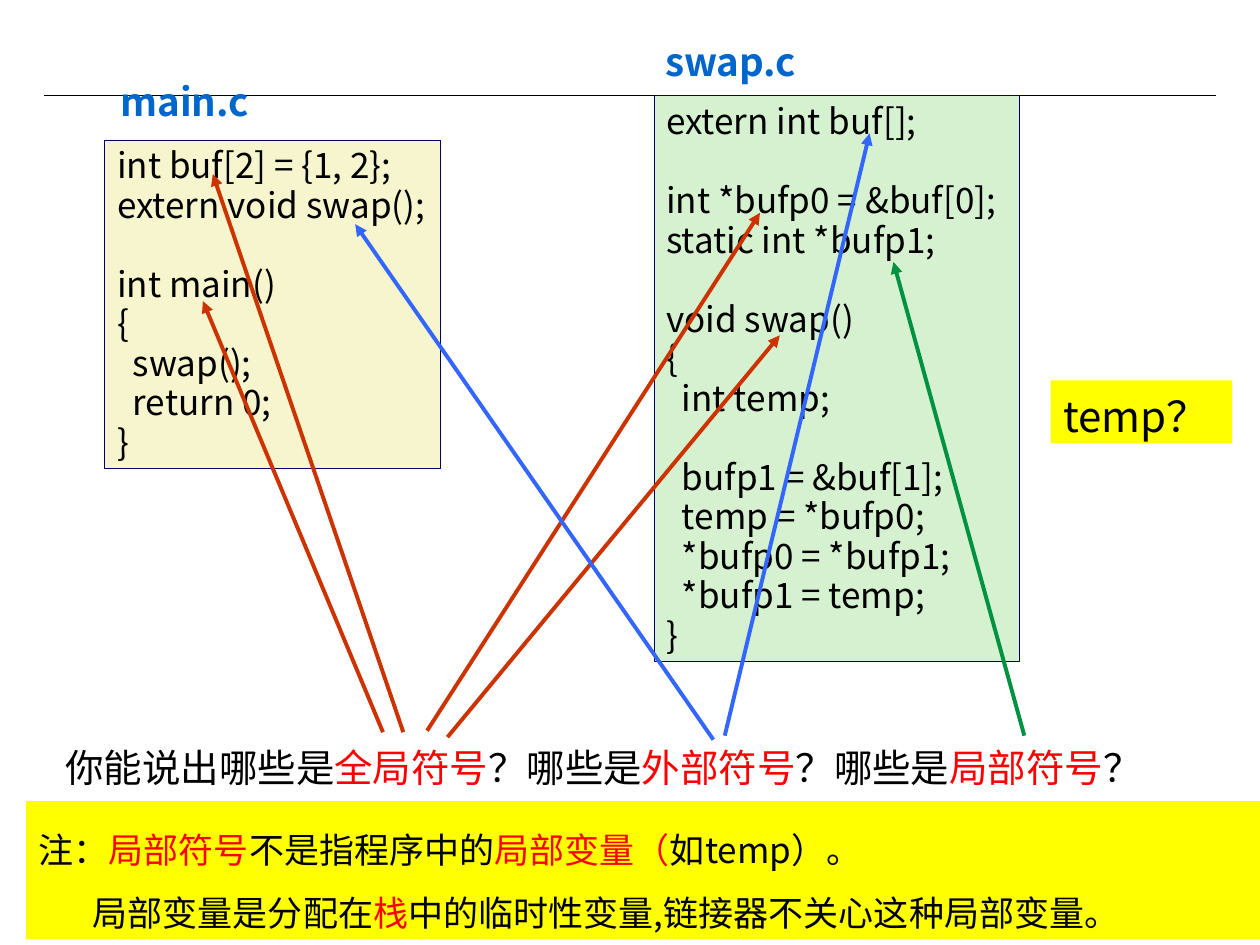
import pptx
import pptx.util
import pptx.dml.color
import pptx.enum.shapes
import pptx.enum.text
import pptx.oxml.ns
import lxml.etree

Cm, Pt = pptx.util.Cm, pptx.util.Pt
SANS = "Noto Sans CJK SC"
BLACK, RED, YELLOW, NAVY = "000000", "FF0000", "FFFF00", "000066"
GLOBAL, EXTERNAL, LOCAL = "CC3300", "3366FF", "009242"

MAIN_C = """int buf[2] = {1, 2};
extern void swap();

int main()
{
  swap();
  return 0;
}"""

SWAP_C = """extern int buf[];

int *bufp0 = &buf[0];
static int *bufp1;

void swap()
{
  int temp;

  bufp1 = &buf[1];
  temp = *bufp0;
  *bufp0 = *bufp1;
  *bufp1 = temp;
}"""

# Arrows: colour, start x, start y, end x, end y in cm
ARROWS = [
    (GLOBAL, 8.13, 14.76, 4.29, 3.51),
    (GLOBAL, 7.72, 14.76, 4.09, 6.07),
    (GLOBAL, 8.61, 14.73, 15.32, 4.29),
    (GLOBAL, 9.02, 14.86, 15.72, 6.76),
    (EXTERNAL, 14.38, 14.91, 7.16, 4.52),
    (EXTERNAL, 14.61, 14.83, 17.53, 2.69),
    (LOCAL, 20.65, 14.83, 18.01, 5.28),
]


def rgb(color):
    return pptx.dml.color.RGBColor.from_string(color)


def sub(parent, tag, **attrs):
    return lxml.etree.SubElement(parent, pptx.oxml.ns.qn(tag), **attrs)


def add_box(s, x, y, w, h, fill=None, line=None):
    """Add a rectangle, or a plain text box when there is no fill."""
    at = Cm(x), Cm(y), Cm(w), Cm(h)
    if fill:
        sp = s.shapes.add_shape(pptx.enum.shapes.MSO_SHAPE.RECTANGLE, *at)
        sp.shadow.inherit = False
        sp.fill.solid()
        sp.fill.fore_color.rgb = rgb(fill)
        if line:
            sp.line.color.rgb = rgb(line)
            sp.line.width = Pt(0.25)
        else:
            sp.line.fill.background()
    else:
        sp = s.shapes.add_textbox(*at)
    tf = sp.text_frame
    tf.word_wrap = True
    tf.margin_right = 0
    tf.vertical_anchor = pptx.enum.text.MSO_ANCHOR.TOP
    return tf


def add_runs(p, runs, size, spacing, font=SANS, bold=False):
    """Fill a paragraph with (text, colour) runs."""
    p.alignment = pptx.enum.text.PP_ALIGN.LEFT
    p.line_spacing = Pt(round(1.2 * size * spacing, 1))
    for text, color in runs:
        r = p.add_run()
        r.text = text
        r.font.size = Pt(size)
        r.font.name = font
        r.font.bold = bold
        r.font.color.rgb = rgb(color)
        sub(r.font._element, "a:ea", typeface=SANS)


def add_code(s, code, fill, x, y, w, h):
    """Add a code listing; a blank line becomes space before the next line."""
    tf = add_box(s, x, y, w, h, fill, NAVY)
    p, gap = tf.paragraphs[0], False
    for i, text in enumerate(code.split("\n")):
        if not text:
            gap = True
            continue
        if i:
            p = tf.add_paragraph()
        add_runs(p, [(text, BLACK)], 20, 0.94)
        if gap:
            p.space_before = p.line_spacing
        gap = False


def add_file_name(s, name, x, y, w):
    tf = add_box(s, x, y, w, 1.14)
    add_runs(tf.paragraphs[0], [(name, "0066CC")], 22, 0.94, bold=True)


def add_line(s, color, width, x1, y1, x2, y2, arrow=False):
    c = s.shapes.add_connector(pptx.enum.shapes.MSO_CONNECTOR.STRAIGHT,
                               Cm(x1), Cm(y1), Cm(x2), Cm(y2))
    c.line.color.rgb = rgb(color)
    c.line.width = Pt(width)
    if arrow:
        sub(c.line._get_or_add_ln(), "a:tailEnd", type="triangle")
    sub(c._element.spPr, "a:effectLst")


def main():
    prs = pptx.Presentation()
    prs.slide_width, prs.slide_height = Cm(25.4), Cm(19.05)
    s = prs.slides.add_slide(prs.slide_layouts[6])

    # Header rule
    add_line(s, BLACK, 0.75, 0.89, 1.93, 24.51, 1.93)

    # Source files
    add_code(s, MAIN_C, "F7F5CD", 2.11, 2.82, 6.76, 6.63)
    add_file_name(s, "main.c", 2.18, 1.5, 3.28)
    add_code(s, SWAP_C, "D5F1CF", 13.18, 1.93, 7.37, 11.4)
    add_file_name(s, "swap.c", 13.16, 0.69, 3.71)

    # Question
    tf = add_box(s, 1.07, 14.81, 22.73, 1.19)
    add_runs(tf.paragraphs[0], [
        ("你能说出哪些是", BLACK), ("全局符号", RED),
        ("？哪些是", BLACK), ("外部符号", RED),
        ("？哪些是", BLACK), ("局部符号", RED), ("？", BLACK),
    ], 22, 1.08, font="Arial")

    # Arrows from the question to the symbols
    for color, *ends in ARROWS:
        add_line(s, color, 2.25, *ends, arrow=True)

    # Callout
    tf = add_box(s, 21.18, 7.67, 3.66, 1.27, YELLOW)
    add_runs(tf.paragraphs[0], [("temp？", BLACK)], 24, 1.08)

    # Note
    tf = add_box(s, 0.53, 16.15, 24.87, 2.79, YELLOW)
    add_runs(tf.paragraphs[0], [
        ("注：", BLACK), ("局部符号", RED), ("不是指程序中的", BLACK),
        ("局部变量（", RED), ("如temp）。", BLACK),
    ], 20, 1.5)
    p = tf.add_paragraph()
    p._p.get_or_add_pPr().set("marL", str(Cm(1.09)))
    add_runs(p, [
        ("局部变量是分配在", BLACK), ("栈", RED),
        ("中的临时性变量,链接器不关心这种局部变量。", BLACK),
    ], 20, 1.5)

    prs.save("out.pptx")


if __name__ == "__main__":
    main()
